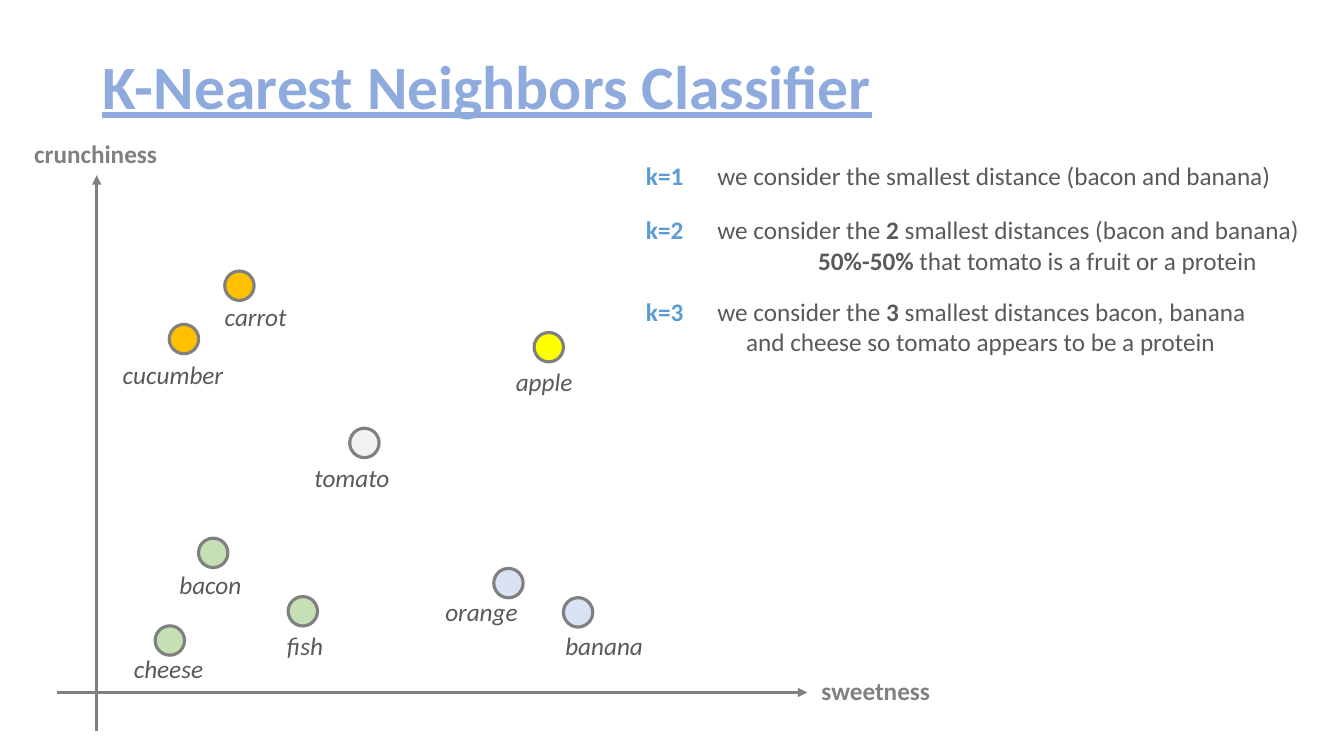
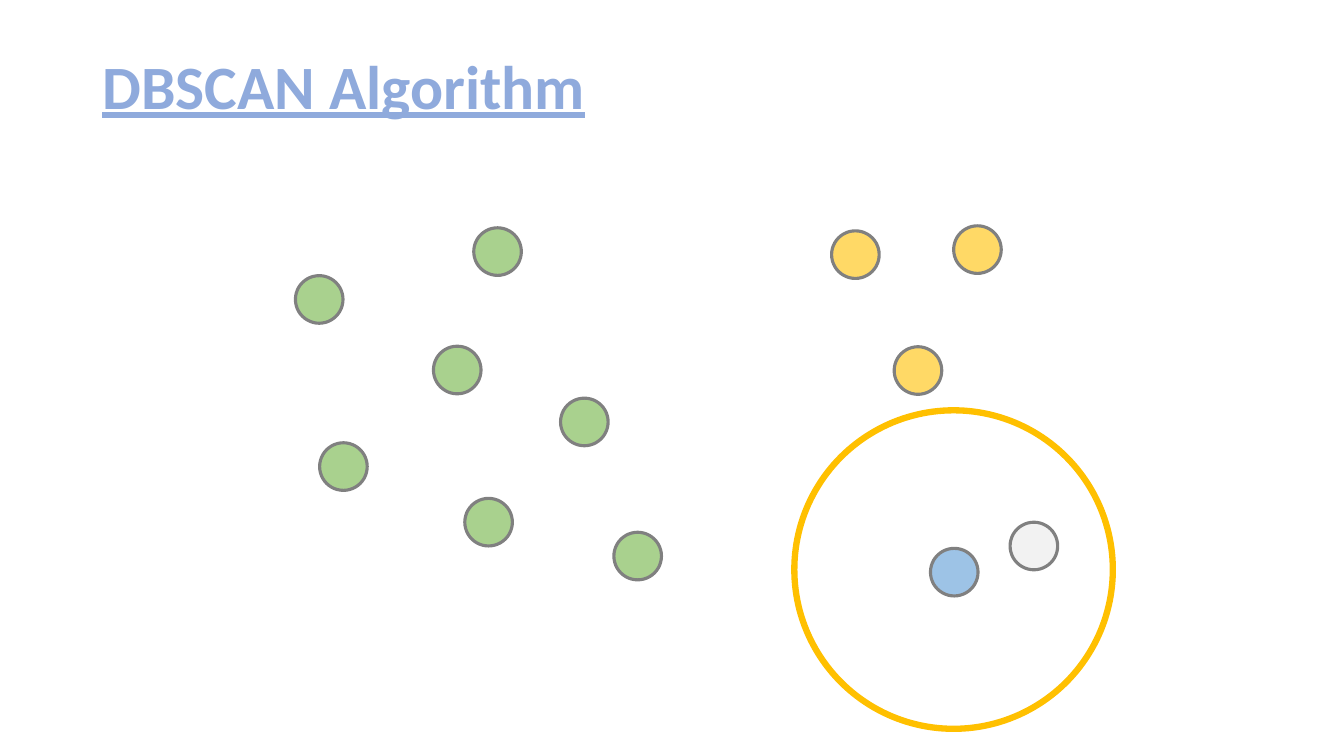
import lxml.etree
import pptx
import pptx.dml.color
import pptx.enum.shapes
import pptx.enum.text
import pptx.oxml.ns
import pptx.util

Pt = pptx.util.Pt
FONT = "Calibri"
TEXT_HEIGHT = 29
COLORS = {
    "title": "8FAADC", "axis": "808080", "text": "595959", "key": "5B9BD5",
    "vegetable": "FFC000", "apple": "FFFF00", "fruit": "DAE3F3",
    "protein": "C5E0B4", "unknown": "F2F2F2",
    "cluster_green": "A9D18E", "cluster_yellow": "FFD966",
    "core": "9DC3E6", "radius": "FFC000",
}

# name, colour, distance right of and above the origin,
# then label offset from the centre of the dot and label width
FOODS = [
    ("cucumber", "vegetable", 62.3, 252.4, -50.8, 11.2, 87.1),
    ("carrot", "vegetable", 101.9, 290.5, -17.6, 7.6, 59),
    ("apple", "apple", 322.9, 246.6, -30.6, 10.4, 55.4),
    ("orange", "fruit", 294.1, 78.1, -52.2, 6.1, 67),
    ("banana", "fruit", 343.8, 57.2, -16.2, 9, 70.6),
    ("bacon", "protein", 83.2, 99.7, -31.3, 8.3, 59),
    ("fish", "protein", 147.2, 58, -18.4, 10.4, 41.8),
    ("cheese", "protein", 52.2, 37.1, -32.8, 5.4, 64.8),
    ("tomato", "unknown", 191.2, 178.2, -42.8, 10.4, 68.4),
]

# key, top, width, lines of (indent, runs of (text, bold))
K_NOTES = [
    ("k=1", 0, 412.6, [
        (0, [("we consider the smallest distance (bacon and banana)", False)]),
    ]),
    ("k=2", 38.9, 434.9, [
        (0, [("we consider the ", False), ("2", True),
             (" smallest distances (bacon and banana)", False)]),
        (72, [("50%-50% ", True),
              ("that tomato is a fruit or a protein", False)]),
    ]),
    ("k=3", 97.2, 400.3, [
        (0, [("we consider the ", False), ("3", True),
             (" smallest distances bacon, banana", False)]),
        (20.5, [("and cheese so tomato appears to be a protein", False)]),
    ]),
]

# left and top of each point in the cluster area
CLUSTERS = {
    "cluster_green": [(17.3, 155), (0, 35.6), (121, 194.7), (98.6, 86),
                      (127.4, 1.4), (189.4, 123.1), (227.5, 218.9)],
    "cluster_yellow": [(383, 3.6), (427.7, 86.4), (470.2, 0)],
    "core": [(453.6, 230.4)],
    "unknown": [(510.5, 211.7)],
}


def rgb(color):
    return pptx.dml.color.RGBColor.from_string(COLORS[color])


def style_font(font, color, size=18, bold=False, italic=False):
    font.name = FONT
    font.size = Pt(size)
    font.bold = bold
    font.italic = italic
    font.color.rgb = rgb(color)


def add_titled_slide(deck, heading):
    slide = deck.slides.add_slide(deck.slide_layouts[5])
    title = slide.shapes.title
    title.left, title.top = Pt(66), Pt(11.5)
    title.width, title.height = Pt(828), Pt(104.4)
    frame = title.text_frame
    frame.text = heading
    frame.auto_size = pptx.enum.text.MSO_AUTO_SIZE.NONE
    frame.vertical_anchor = pptx.enum.text.MSO_ANCHOR.MIDDLE
    paragraph = frame.paragraphs[0]
    paragraph.alignment = pptx.enum.text.PP_ALIGN.LEFT
    paragraph.line_spacing = 0.9
    font = paragraph.runs[0].font
    style_font(font, "title", 44, bold=True)
    font.underline = True
    return slide


def add_lines(slide, left, top, width, lines, color, italic=False):
    """Add an unwrapped text box; each line is (indent, [(text, bold)])."""
    box = slide.shapes.add_textbox(
        Pt(left), Pt(top), Pt(width), Pt(TEXT_HEIGHT + 21.6 * (len(lines) - 1)))
    frame = box.text_frame
    frame.word_wrap = False
    for number, (indent, parts) in enumerate(lines):
        paragraph = frame.add_paragraph() if number else frame.paragraphs[0]
        if indent:
            properties = paragraph._p.get_or_add_pPr()
            properties.set("marL", str(int(Pt(indent))))
            properties.set("indent", "0")
        for text, bold in parts:
            run = paragraph.add_run()
            run.text = text
            style_font(run.font, color, bold=bold, italic=italic)


def add_label(slide, left, top, width, text, color, bold=False, italic=False):
    add_lines(slide, left, top, width, [(0, [(text, bold)])], color, italic)


def add_circle(slide, left, top, diameter, fill=None, line="axis", weight=2.25):
    circle = slide.shapes.add_shape(
        pptx.enum.shapes.MSO_SHAPE.OVAL,
        Pt(left), Pt(top), Pt(diameter), Pt(diameter))
    circle.shadow.inherit = False
    if fill:
        circle.fill.solid()
        circle.fill.fore_color.rgb = rgb(fill)
    else:
        circle.fill.background()
    circle.line.color.rgb = rgb(line)
    circle.line.width = Pt(weight)


def add_axis(slide, x1, y1, x2, y2):
    axis = slide.shapes.add_connector(
        pptx.enum.shapes.MSO_CONNECTOR.STRAIGHT, Pt(x1), Pt(y1), Pt(x2), Pt(y2))
    axis.line.color.rgb = rgb("axis")
    axis.line.width = Pt(2.25)
    qn = pptx.oxml.ns.qn
    lxml.etree.SubElement(axis.line._get_or_add_ln(), qn("a:tailEnd"),
                          type="triangle")
    lxml.etree.SubElement(axis._element.spPr, qn("a:effectLst"))


def add_food_plot(slide, origin_x, origin_y):
    add_axis(slide, origin_x, origin_y + 27.4, origin_x, origin_y - 369.4)
    add_axis(slide, origin_x - 28.1, origin_y, origin_x + 507.6, origin_y)
    for name, dx, dy, width in [("crunchiness", -51.8, -399.6, 103),
                                ("sweetness", 510.5, -15.8, 92.9)]:
        add_label(slide, origin_x + dx, origin_y + dy, width, name,
                  "axis", bold=True)
    diameter = 21
    for name, group, right, up, label_dx, label_dy, width in FOODS:
        x, y = origin_x + right, origin_y - up
        add_circle(slide, x - diameter / 2, y - diameter / 2, diameter, group)
        add_label(slide, x + label_dx, y + label_dy, width, name,
                  "text", italic=True)


def add_k_notes(slide, left, top):
    for key, offset, width, lines in K_NOTES:
        add_label(slide, left, top + offset, 41.8, key, "key", bold=True)
        add_lines(slide, left + 51.1, top + offset, width, lines, "text")


def add_clusters(slide, left, top):
    for group, points in CLUSTERS.items():
        for x, y in points:
            add_circle(slide, left + x, top + y, 34, group)
    add_circle(slide, left + 356.4, top + 131.8, 227.5,
               line="radius", weight=4.5)


def main():
    deck = pptx.Presentation()
    deck.slide_width, deck.slide_height = Pt(960), Pt(540)

    neighbors = add_titled_slide(deck, "K-Nearest Neighbors Classifier")
    add_food_plot(neighbors, 69.1, 494.6)
    add_k_notes(neighbors, 454.3, 110.9)

    dbscan = add_titled_slide(deck, "DBSCAN Algorithm")
    add_clusters(dbscan, 211, 161.3)

    deck.save("out.pptx")


if __name__ == "__main__":
    main()
